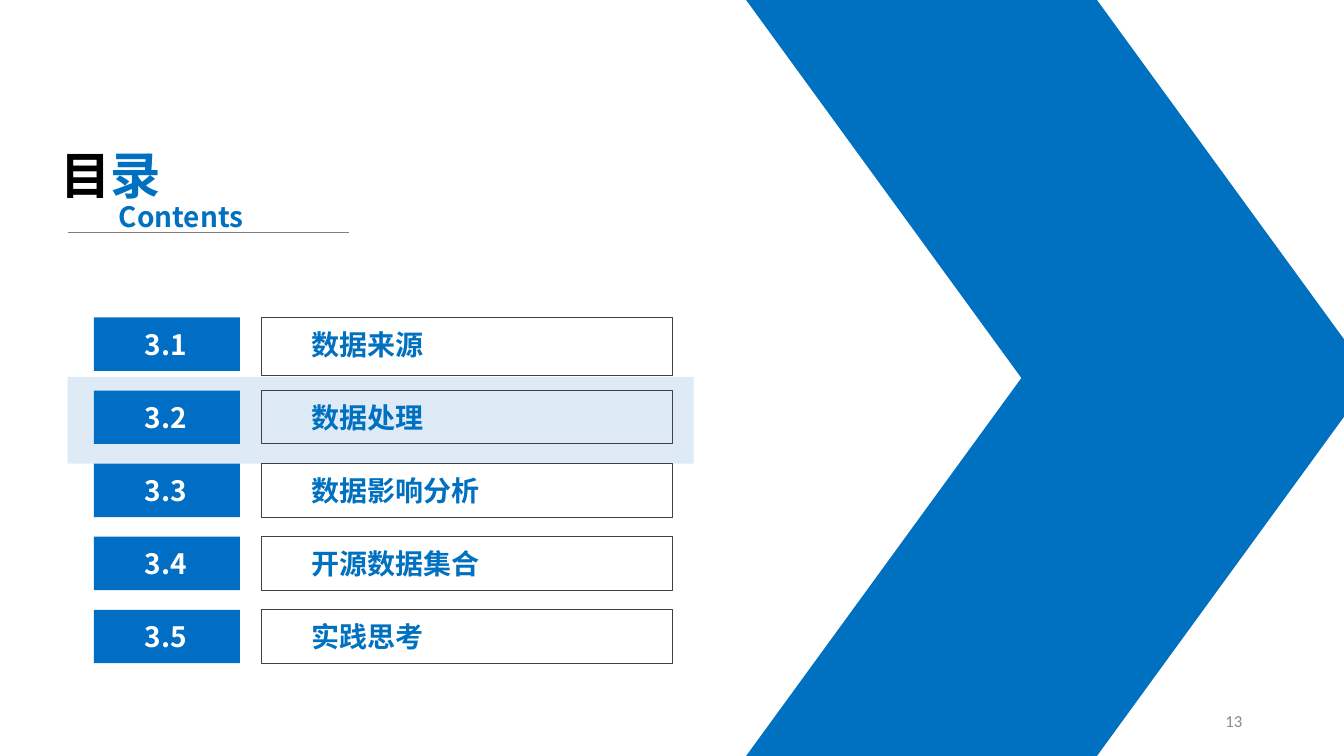
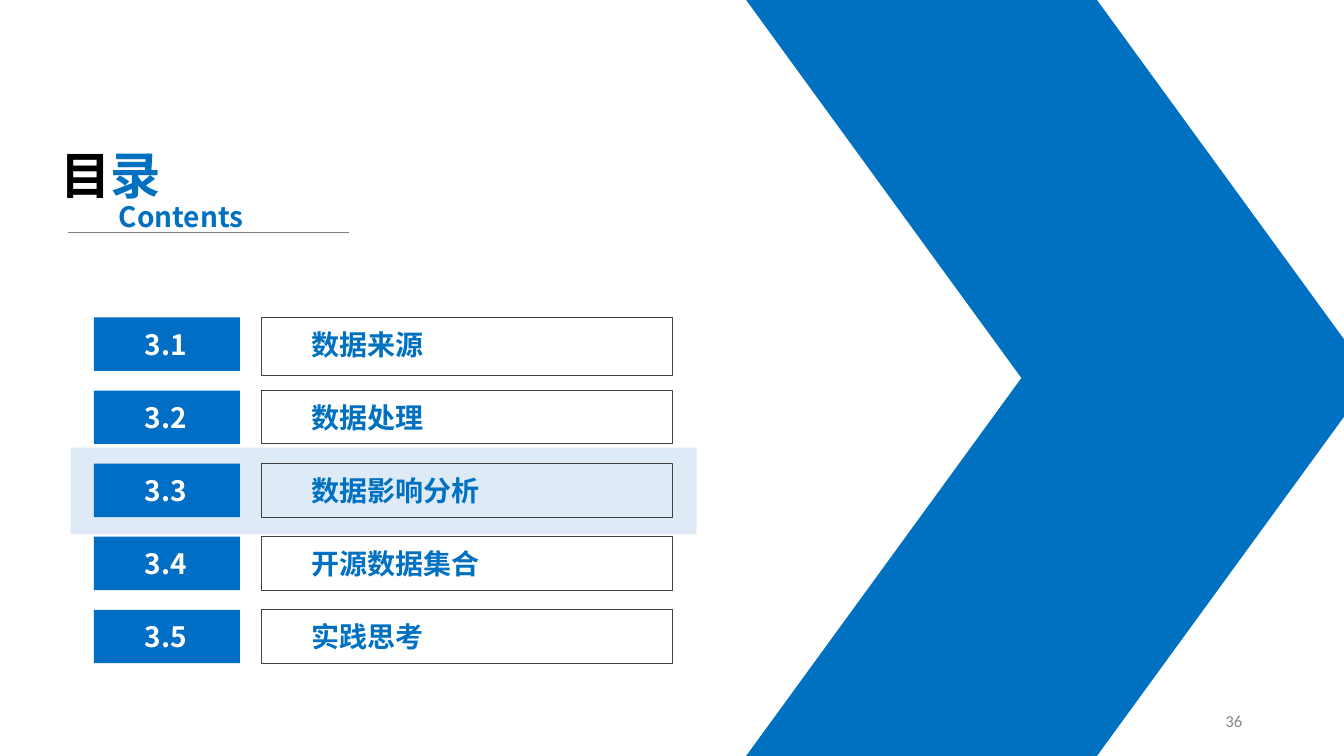
from lxml.etree import SubElement
from pptx import Presentation
from pptx.dml.color import RGBColor
from pptx.enum.shapes import MSO_CONNECTOR, MSO_SHAPE
from pptx.enum.text import MSO_ANCHOR, MSO_AUTO_SIZE, PP_ALIGN
from pptx.oxml.ns import qn
from pptx.util import Inches, Pt

BLUE, NUMBER_BLUE, PALE_BLUE = "0070C0", "006EC5", "DEEBF7"
BLACK, WHITE, FRAME_GRAY, RULE_GRAY, PAGE_GRAY = "000000", "FFFFFF", "404040", "7F7F7F", "898989"
HEADING_FONT, PAGE_FONT = "Noto Sans CJK SC", "Calibri"

SECTIONS = ["数据来源", "数据处理", "数据影响分析", "开源数据集合", "实践思考"]
FIRST_ROW_TOP, ROW_PITCH, ROW_HEIGHT = 3.15, 0.725, 0.53

# Page number, then left and top of the band behind the current section
PAGES = [("13", 0.67, 3.74), ("36", 0.70, 4.44)]


def add_block(slide, kind, left, top, width, height, fill=None, line=None):
    shape = slide.shapes.add_shape(kind, Inches(left), Inches(top), Inches(width), Inches(height))
    shape.shadow.inherit = False
    if fill:
        shape.fill.solid()
        shape.fill.fore_color.rgb = RGBColor.from_string(fill)
    else:
        shape.fill.background()
    if line:
        shape.line.color.rgb = RGBColor.from_string(line)
        shape.line.width = Pt(0.75)
    else:
        shape.line.fill.background()
    return shape


def write(shape, pieces, size, align=PP_ALIGN.LEFT, anchor=MSO_ANCHOR.TOP, font=HEADING_FONT, bold=True):
    """Fill the shape with one paragraph made of (text, colour) pieces."""
    frame = shape.text_frame
    frame.word_wrap = True
    frame.auto_size = MSO_AUTO_SIZE.NONE
    frame.vertical_anchor = anchor
    paragraph = frame.paragraphs[0]
    paragraph.alignment = align
    for text, color in pieces:
        run = paragraph.add_run()
        run.text = text
        run.font.size = Pt(size)
        run.font.bold = bold
        run.font.name = font
        run.font.color.rgb = RGBColor.from_string(color)
        SubElement(run.font._element, qn("a:ea"), typeface=font)


presentation = Presentation()
presentation.slide_width = Inches(13.33)
presentation.slide_height = Inches(7.5)

for page_number, band_left, band_top in PAGES:
    slide = presentation.slides.add_slide(presentation.slide_layouts[5])
    add_block(slide, MSO_SHAPE.RECTANGLE, band_left, band_top, 6.21, 0.86, fill=PALE_BLUE)

    # Large arrow from two mirrored halves
    for half_top, flipped in [(3.75, False), (0, True)]:
        half = add_block(slide, MSO_SHAPE.PARALLELOGRAM, 7.4, half_top, 6.21, 3.75, fill=BLUE)
        half.adjustments[0] = 0.728
        if flipped:
            half._element.spPr.find(qn("a:xfrm")).set("flipV", "1")

    title = slide.shapes.title
    title.left, title.top = Inches(0.5), Inches(1.38)
    title.width, title.height = Inches(1.57), Inches(0.71)
    write(title, [("目", BLACK), ("录", BLUE)], 36)

    subtitle = slide.shapes.add_textbox(Inches(1.08), Inches(1.93), Inches(1.57), Inches(0.44))
    write(subtitle, [("Contents", BLUE)], 20)

    rule = slide.shapes.add_connector(
        MSO_CONNECTOR.STRAIGHT, Inches(0.67), Inches(2.31), Inches(3.46), Inches(2.31))
    rule.line.color.rgb = RGBColor.from_string(RULE_GRAY)
    rule.line.width = Pt(0.5)
    SubElement(rule._element.spPr, qn("a:effectLst"))

    for index, section in enumerate(SECTIONS):
        top = FIRST_ROW_TOP + index * ROW_PITCH
        number = add_block(slide, MSO_SHAPE.RECTANGLE, 0.93, top, 1.45, ROW_HEIGHT, fill=NUMBER_BLUE)
        write(number, [(f"3.{index + 1}", WHITE)], 20, PP_ALIGN.CENTER, MSO_ANCHOR.MIDDLE)
        number.text_frame.margin_right = Inches(0.12)

        frame_height = 0.58 if index == 0 else ROW_HEIGHT
        label = add_block(slide, MSO_SHAPE.RECTANGLE, 2.59, top, 4.08, frame_height, line=FRAME_GRAY)
        write(label, [(section, BLUE)], 20)
        label.text_frame.margin_left = Inches(0.5)
        label.text_frame.margin_top = Inches(0.1)

    page = slide.shapes.add_textbox(Inches(9.42), Inches(6.95), Inches(3), Inches(0.4))
    write(page, [(page_number, PAGE_GRAY)], 12, PP_ALIGN.RIGHT, MSO_ANCHOR.MIDDLE, PAGE_FONT, False)

presentation.save("out.pptx")
